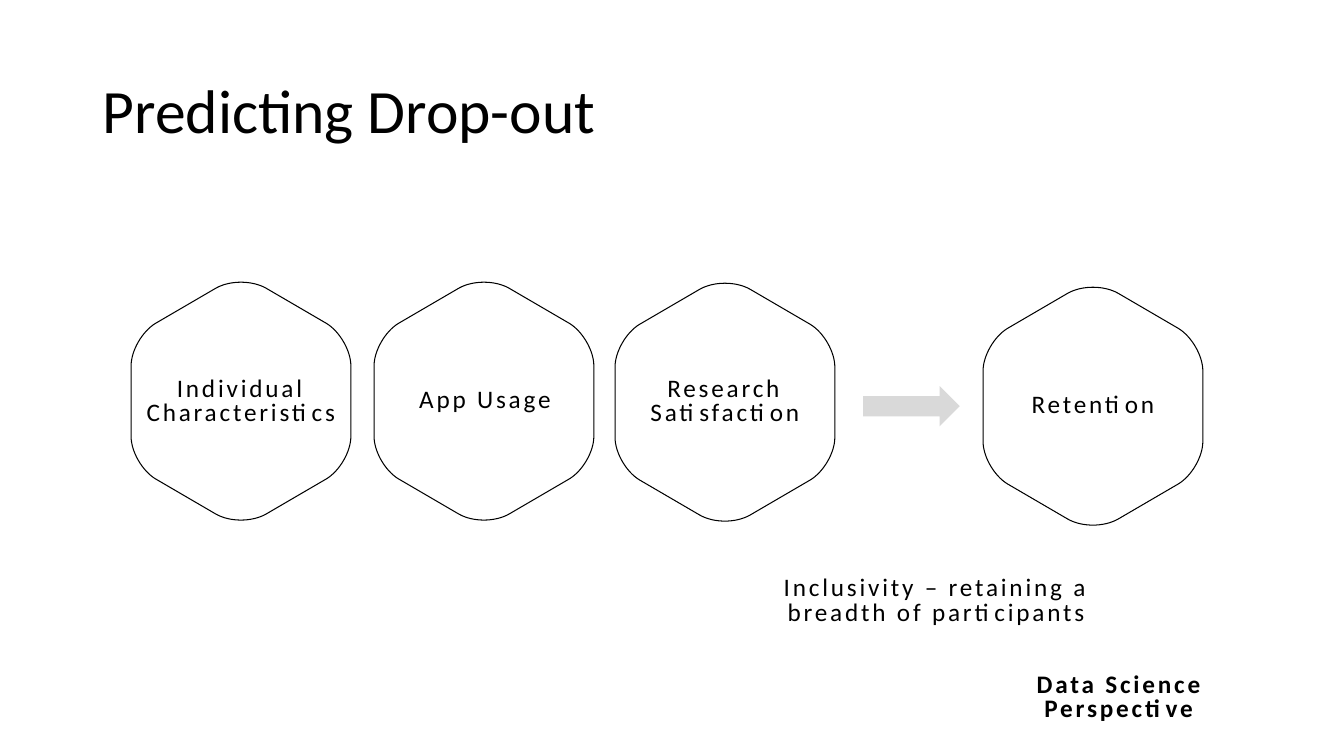
from pptx import Presentation
from pptx.dml.color import RGBColor
from pptx.enum.shapes import MSO_SHAPE
from pptx.enum.text import MSO_ANCHOR, MSO_AUTO_SIZE, PP_ALIGN
from pptx.oxml.ns import qn
from pptx.oxml.xmlchemy import OxmlElement
from pptx.util import Inches, Pt

BLACK = "000000"
GREY = "D9D9D9"

deck = Presentation()
deck.slide_width = Inches(13.33)
deck.slide_height = Inches(7.5)
slide = deck.slides.add_slide(deck.slide_layouts[6])
shapes = slide.shapes


def color(code):
    return RGBColor.from_string(code)


def label(left, top, width, height, lines, bold=False):
    """Add spaced, centred 18 pt text, one paragraph per line."""
    box = shapes.add_textbox(Inches(left), Inches(top), Inches(width), Inches(height))
    frame = box.text_frame
    frame.word_wrap = True
    frame.auto_size = MSO_AUTO_SIZE.SHAPE_TO_FIT_TEXT
    frame.margin_left = frame.margin_right = 0
    frame.margin_top = frame.margin_bottom = 0
    for i, line in enumerate(lines):
        para = frame.add_paragraph() if i else frame.paragraphs[0]
        para.alignment = PP_ALIGN.CENTER
        para.line_spacing = 0.8
        run = para.add_run()
        run.text = line
        run.font.name = "Calibri"
        run.font.size = Pt(18)
        run.font.bold = bold
        run.font.color.rgb = color(BLACK)
        run.font._element.set("spc", "200")


# Title
box = shapes.add_textbox(Inches(0.92), Inches(0.4), Inches(11.5), Inches(1.45))
frame = box.text_frame
frame.word_wrap = True
frame.vertical_anchor = MSO_ANCHOR.MIDDLE
para = frame.paragraphs[0]
para.line_spacing = 0.9
run = para.add_run()
run.text = "Predicting Drop-out"
run.font.name = "Calibri"
run.font.size = Pt(44)
run.font.color.rgb = color(BLACK)

# Rounded hexagon around (0, 0): four Bezier points for each corner
side = [(-1.09, -0.35), (-1.09, -0.5), (-0.98, -0.69), (-0.85, -0.77)]
peak = [(-0.25, -1.12), (-0.11, -1.2), (0.11, -1.2), (0.25, -1.12)]
upper = side + peak + [(-x, y) for x, y in reversed(side)]
outline = upper + [(-x, -y) for x, y in upper]

# Factors and outcome: centre x, centre y, label left, top, height, text
hexes = [
    (2.39, 3.98, 1.3, 3.75, 0.48, "Individual Characteristics"),
    (4.8, 3.98, 3.72, 3.86, 0.24, "App Usage"),
    (7.19, 3.99, 6.1, 3.75, 0.48, "Research Satisfaction"),
    (10.84, 4.03, 9.75, 3.91, 0.25, "Retention"),
]
for mid, row, left, top, height, text in hexes:
    points = [(Inches(mid + x), Inches(row + y)) for x, y in outline]
    pen = shapes.build_freeform(*points[0])
    pen.add_line_segments(points[1:], close=True)
    cell = pen.convert_to_shape()
    cell.shadow.inherit = False
    cell.fill.background()
    cell.line.color.rgb = color(BLACK)
    cell.line.width = Pt(0.75)
    # Three line segments at each corner become one curve
    lines = list(cell._element.iter(qn("a:lnTo")))
    for i in range(0, len(lines), 4):
        curve = OxmlElement("a:cubicBezTo")
        lines[i].addprevious(curve)
        for line in lines[i:i + 3]:
            curve.append(line[0])
            line.getparent().remove(line)
    label(left, top, 2.18, height, [text])

arrow = shapes.add_shape(
    MSO_SHAPE.RIGHT_ARROW, Inches(8.56), Inches(3.83), Inches(0.96), Inches(0.4)
)
arrow.shadow.inherit = False
arrow.fill.solid()
arrow.fill.fore_color.rgb = color(GREY)
arrow.line.fill.background()

label(9.91, 6.69, 2.37, 0.49, ["Data Science", "Perspective"], bold=True)
label(7.64, 5.73, 3.29, 0.49, ["Inclusivity – retaining a breadth of participants"])

deck.save("out.pptx")
